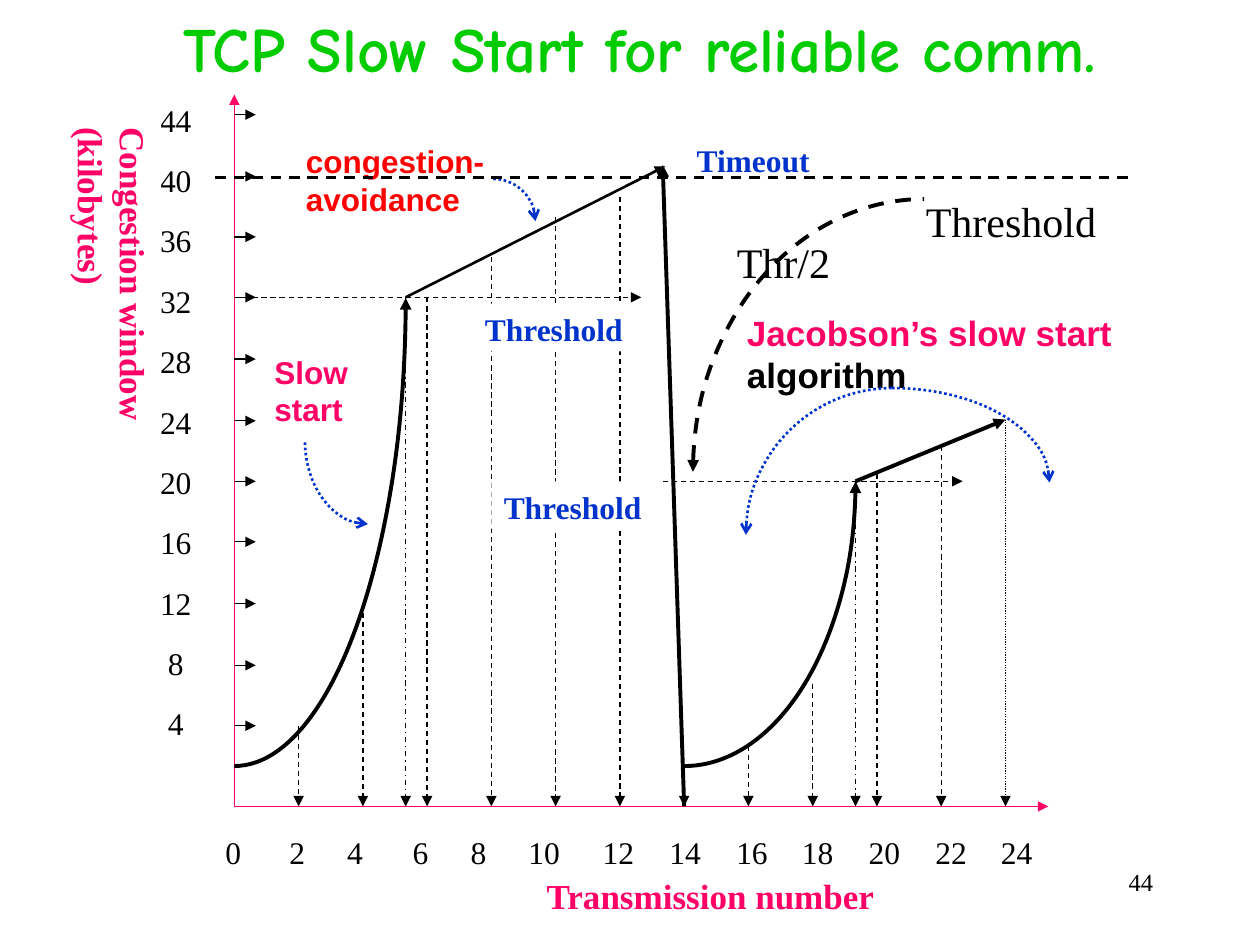
from dataclasses import dataclass

from lxml.etree import SubElement
from pptx import Presentation
from pptx.dml.color import RGBColor
from pptx.enum.dml import MSO_LINE
from pptx.enum.shapes import MSO_CONNECTOR, MSO_SHAPE
from pptx.enum.text import MSO_ANCHOR, PP_ALIGN
from pptx.oxml.ns import qn
from pptx.util import Emu, Pt

PX = 9144  # 100 px to the inch


@dataclass(frozen=True)
class Theme:
    black: str = "000000"
    white: str = "FFFFFF"
    pink: str = "FF0066"
    blue: str = "0033CC"
    red: str = "FF0000"
    green: str = "00CC00"
    serif: str = "Times New Roman"
    sans: str = "Arial"
    comic: str = "Comic Neue"
    title: int = 36
    note: int = 24
    head: int = 20
    body: int = 18
    foot: int = 14
    thin: float = 0.75
    mid: float = 1.5
    bold: float = 2.25


class Board:
    def __init__(self, slide, theme):
        self.slide = slide
        self.theme = theme

    def style(self, shape, color, width, dash, head, tail):
        """Set the stroke and its arrowheads."""
        line = shape.line
        line.color.rgb = RGBColor.from_string(color)
        line.width = Pt(width)
        if dash:
            line.dash_style = dash
        ln = shape._element.spPr.find(qn("a:ln"))
        for tag, kind in (("a:headEnd", head), ("a:tailEnd", tail)):
            if kind:
                SubElement(ln, qn(tag)).set("type", kind)

    def line(self, start, end, color=None, width=None, dash=None, tail="triangle"):
        t = self.theme
        points = [Emu(n * PX) for n in (*start, *end)]
        link = self.slide.shapes.add_connector(MSO_CONNECTOR.STRAIGHT, *points)
        self.style(link, color or t.black, width or t.thin, dash, None, tail)
        SubElement(link._element.spPr, qn("a:effectLst"))

    def arc(self, box, angle, color, width, dash=None, head=None, tail=None):
        """Draw the clockwise quarter of an ellipse that starts at angle."""
        arc = self.slide.shapes.add_shape(MSO_SHAPE.ARC, *[Emu(n * PX) for n in box])
        for i, turn in enumerate((angle, (angle + 90) % 360)):
            arc.adjustments[i] = turn * 0.6
        arc.shadow.inherit = False
        arc.fill.background()
        self.style(arc, color, width, dash, head, tail)

    def text(self, box, words, size, color=None, font=None, bold=False, fill=False,
             align=PP_ALIGN.LEFT, pad=(10, 5, 10, 5), gap=0, anchor=MSO_ANCHOR.TOP):
        t = self.theme
        shape = self.slide.shapes.add_textbox(*[Emu(n * PX) for n in box])
        if fill:
            shape.fill.solid()
            shape.fill.fore_color.rgb = RGBColor.from_string(t.white)
        frame = shape.text_frame
        frame.word_wrap = True
        frame.vertical_anchor = anchor
        (frame.margin_left, frame.margin_top,
         frame.margin_right, frame.margin_bottom) = [Emu(n * PX) for n in pad]
        frame.text = words
        for i, para in enumerate(frame.paragraphs):
            para.alignment = align
            if i and gap:
                para.space_before = Pt(gap)
            for run in para.runs:
                run.font.size = Pt(size)
                run.font.name = font or t.serif
                run.font.bold = bold
                run.font.color.rgb = RGBColor.from_string(color or t.black)
        return frame

    def tabs(self, para, stops):
        """Add centred tab stops."""
        group = SubElement(para._p.get_or_add_pPr(), qn("a:tabLst"))
        for stop in stops:
            tab = SubElement(group, qn("a:tab"))
            tab.set("pos", str(stop * PX))
            tab.set("algn", "ctr")


def axes(board):
    t = board.theme
    for end in ((832, 640), (186, 75)):
        board.line((186, 640), end, t.pink)

    marks = "\t".join(str(n) for n in range(0, 25, 2))
    frame = board.text((169, 656, 664, 49), marks, t.body, fill=True)
    board.tabs(frame.paragraphs[0],
               (57, 103, 155, 201, 253, 312, 365, 418, 470, 523, 576, 628))

    tops = (576, 479, 236, 204, 172, 156, 624, 592, 543, 376, 354, 333)
    special = {6: None, 11: MSO_LINE.ROUND_DOT}
    for i, top in enumerate(tops):
        x = 237 + 51 * i
        board.line((x, top), (x, 640), dash=special.get(i, MSO_LINE.DASH))

    board.text((118, 75, 61, 565), "\n".join(str(n) for n in range(44, 0, -4)),
               t.body, fill=True, align=PP_ALIGN.CENTER, pad=(2, 5, 20, 5), gap=12.9)
    for i in range(11):
        y = round(91 + 48.5 * i)
        board.line((186, y), (203, y))


def curves(board):
    t = board.theme
    for start, end in (((186, 236), (509, 236)), ((526, 382), (764, 382))):
        board.line(start, end, dash=MSO_LINE.DASH)
    board.line((543, 640), (526, 131), width=t.bold)
    board.line((322, 236), (528, 132), width=t.mid)
    for box in ((407, 156, 272, 452), (50, -135, 272, 743)):
        board.arc(box, 0, t.black, t.bold, head="triangle")
    board.line((679, 382), (798, 333), width=t.bold)


def labels(board):
    t = board.theme
    frame = board.text((71, 91, 57, 339), "Congestion window (kilobytes)", t.head,
                       t.pink, bold=True, fill=True, pad=(5, 10, 5, 10))
    frame._txBody.bodyPr.set("vert", "eaVert")
    board.text((424, 689, 289, 48), "Transmission number", t.head, t.pink,
               bold=True, fill=True)
    for box, words in (((375, 241, 136, 38), "Threshold"),
                       ((390, 382, 136, 38), "Threshold"),
                       ((543, 107, 111, 39), "Timeout")):
        board.text(box, words, t.body, t.blue, bold=True, fill=True)
    for x, top in ((322, 236), (679, 382)):
        board.line((x, top), (x, 640), dash=MSO_LINE.DASH_DOT)


def notes(board):
    t = board.theme
    dots = (t.blue, t.mid, MSO_LINE.ROUND_DOT)
    board.text((208, 275, 83, 70), "Slow start", t.body, t.pink, t.sans, True)
    board.arc((242, 283, 100, 133), 90, *dots, head="arrow")
    board.text((233, 108, 167, 70), "congestion-avoidance", t.body, t.red, t.sans, True)
    board.arc((358, 142, 67, 67), 270, *dots, tail="arrow")

    frame = board.text((583, 242, 358, 77), "Jacobson’s slow start", t.head,
                       t.pink, t.sans, True)
    run = frame.paragraphs[0].add_run()
    run.text = " algorithm"
    run.font.size, run.font.name, run.font.bold = Pt(t.head), t.sans, True
    run.font.color.rgb = RGBColor.from_string(t.black)
    board.arc((592, 308, 233, 233), 180, *dots, head="arrow")
    board.arc((583, 308, 250, 150), 270, *dots, tail="arrow")

    board.line((171, 141), (896, 141), width=t.mid, dash=MSO_LINE.DASH, tail=None)
    board.text((725, 150, 200, 50), "Threshold", t.note)
    board.arc((550, 158, 367, 433), 180, t.black, t.bold, MSO_LINE.DASH, head="triangle")
    board.text((575, 183, 133, 50), "Thr/2", t.note)


def main():
    deck = Presentation()
    deck.slide_width, deck.slide_height = Emu(1000 * PX), Emu(750 * PX)
    t = Theme()
    board = Board(deck.slides.add_slide(deck.slide_layouts[6]), t)
    board.text((58, 0, 900, 75), "TCP Slow Start for reliable comm.", t.title, t.green,
               t.comic, True, align=PP_ALIGN.CENTER, anchor=MSO_ANCHOR.MIDDLE)
    axes(board)
    curves(board)
    labels(board)
    notes(board)
    board.text((717, 683, 208, 50), "44", t.foot, align=PP_ALIGN.RIGHT)
    deck.save("out.pptx")


if __name__ == "__main__":
    main()
